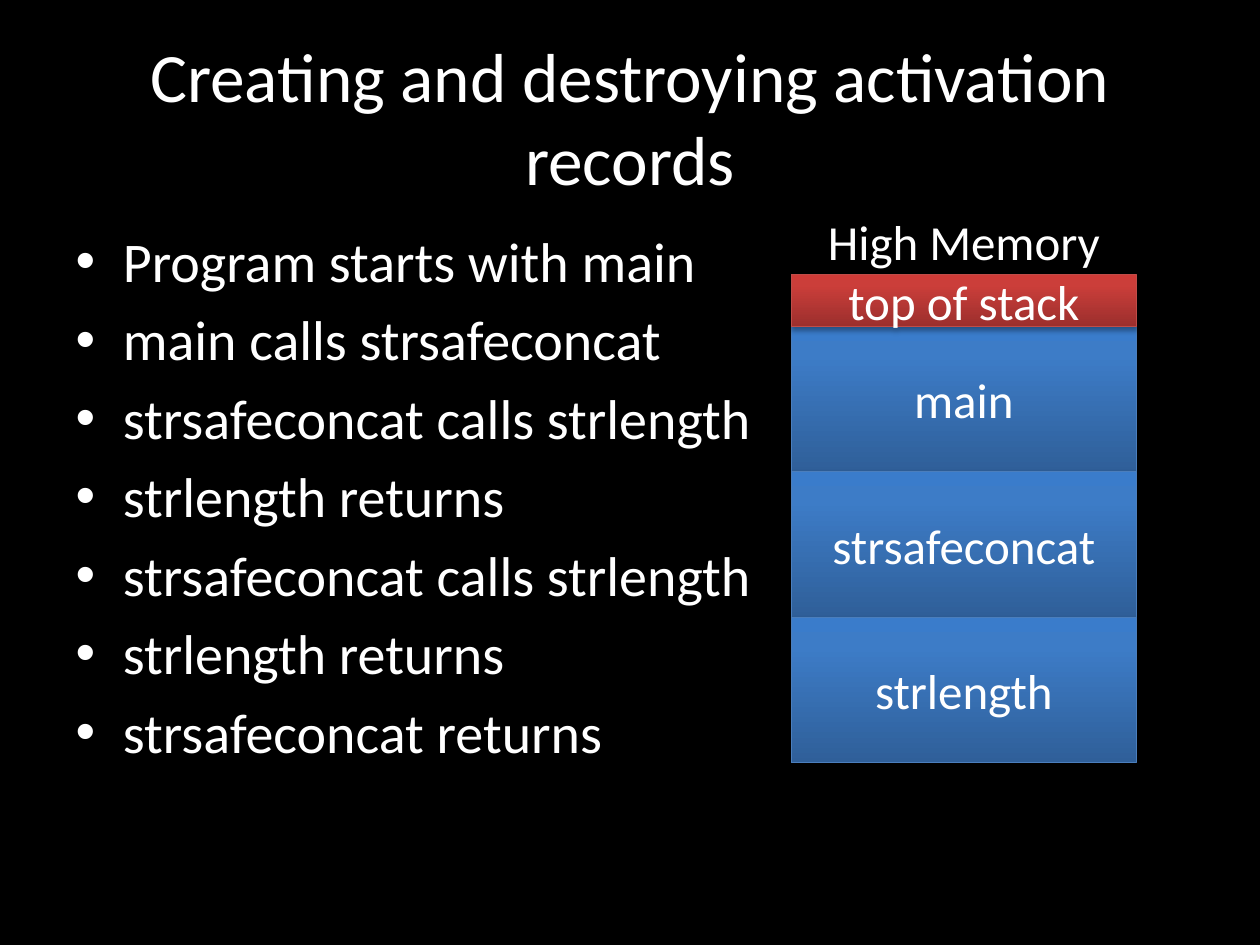
from copy import deepcopy
from dataclasses import dataclass

from lxml import etree
from pptx import Presentation
from pptx import util as u
from pptx.dml.color import RGBColor
from pptx.enum import shapes, text
from pptx.oxml import parse_xml
from pptx.oxml.ns import nsdecls, qn

WIDE, HIGH = 10, 7.5
LEFT, SPAN = 0.628, 0.274
WHITE, BLACK = "FFFFFF", "000000"
BLUE = ("2F5F99", "3D7CC7", "3A7CCB", "4B7EBC")
RED = ("9C2F2D", "CB3E3A", "CE3B37", "BF4C48")
STOPS = (0, 0.8, 1)
TOP, FRAME = 2.59, 1.155
STEPS = (
    "Program starts with main",
    "main calls strsafeconcat",
    "strsafeconcat calls strlength",
    "strlength returns",
    "strsafeconcat calls strlength",
    "strlength returns",
    "strsafeconcat returns",
)


@dataclass
class Block:
    """A stack block: its label, top and height in inches, and tones."""
    label: str
    top: float
    tall: float
    tones: tuple = BLUE


CALLS = ("main", "strsafeconcat", "strlength")
STACK = [Block(name, TOP + row * FRAME, FRAME) for row, name in enumerate(CALLS)]
STACK.append(Block("top of stack", 2.18, 0.41, RED))


def tint(code: str) -> RGBColor:
    """Turn a hex string into a colour."""
    return RGBColor.from_string(code)


def place(shape, x: float, y: float, w: float, h: float) -> None:
    """Place a shape by shares of the slide's size."""
    shape.left, shape.top = u.Inches(x * WIDE), u.Inches(y * HIGH)
    shape.width, shape.height = u.Inches(w * WIDE), u.Inches(h * HIGH)


def write(frame, lines: tuple, size: float, align=text.PP_ALIGN.CENTER) -> None:
    """Write white paragraphs into a text frame."""
    frame.word_wrap = True
    frame.text = "\n".join(lines)
    for para in frame.paragraphs:
        para.alignment = align
        font = para.font
        font.name, font.size = "Calibri", u.Pt(size)
        font.color.rgb = tint(WHITE)


def shade(shape, tones: tuple) -> None:
    """Give a shape its three-stop gradient and its line."""
    shape.fill.gradient()
    shape.fill.gradient_angle = 90
    stops = shape.fill._fill._gradFill.find(qn("a:gsLst"))
    stops.append(deepcopy(stops[-1]))
    for stop, spot, tone in zip(shape.fill.gradient_stops, STOPS, tones):
        stop.position, stop.color.rgb = spot, tint(tone)
    shape.line.color.rgb = tint(tones[-1])
    shape.line.width = u.Pt(0.75)


def cast(shape) -> None:
    """Cast a soft shadow straight down."""
    shape.shadow.inherit = False
    glow = parse_xml(
        f'<a:outerShdw {nsdecls("a")} blurRad="{u.Pt(3.1)}" dist="{u.Pt(1.8)}" '
        'dir="5400000" rotWithShape="0"/>')
    tone = etree.SubElement(glow, qn("a:srgbClr"), val=BLACK)
    etree.SubElement(tone, qn("a:alpha"), val="35000")
    shape._element.spPr.find(qn("a:effectLst")).append(glow)


def draw(slide, block: Block) -> None:
    """Draw one block of the stack."""
    shape = slide.shapes.add_shape(shapes.MSO_SHAPE.RECTANGLE, 0, 0, 0, 0)
    place(shape, LEFT, block.top / HIGH, SPAN, block.tall / HIGH)
    shade(shape, block.tones)
    cast(shape)
    shape.text_frame.vertical_anchor = text.MSO_ANCHOR.MIDDLE
    write(shape.text_frame, (block.label,), 28)


def main() -> None:
    """Build the slide and save it."""
    deck = Presentation()
    deck.slide_width, deck.slide_height = u.Inches(WIDE), u.Inches(HIGH)
    slide = deck.slides.add_slide(deck.slide_layouts[1])
    slide.background.fill.solid()
    slide.background.fill.fore_color.rgb = tint(BLACK)

    title, body = slide.placeholders
    place(title, 0.05, 0.04, 0.9, 0.167)
    title.text_frame.vertical_anchor = text.MSO_ANCHOR.MIDDLE
    write(title.text_frame, ("Creating and destroying activation records",), 39.6)
    place(body, 0.05, 0.233, 0.9, 0.66)
    write(body.text_frame, STEPS, 32, text.PP_ALIGN.LEFT)
    body.text_frame.paragraphs[0].space_before = u.Pt(0)

    for block in STACK:
        draw(slide, block)
    note = slide.shapes.add_textbox(0, 0, 0, 0)
    place(note, LEFT, 0.217, SPAN, 0.076)
    write(note.text_frame, ("High Memory",), 28)
    note.text_frame.auto_size = text.MSO_AUTO_SIZE.SHAPE_TO_FIT_TEXT
    deck.save("out.pptx")


if __name__ == "__main__":
    main()
